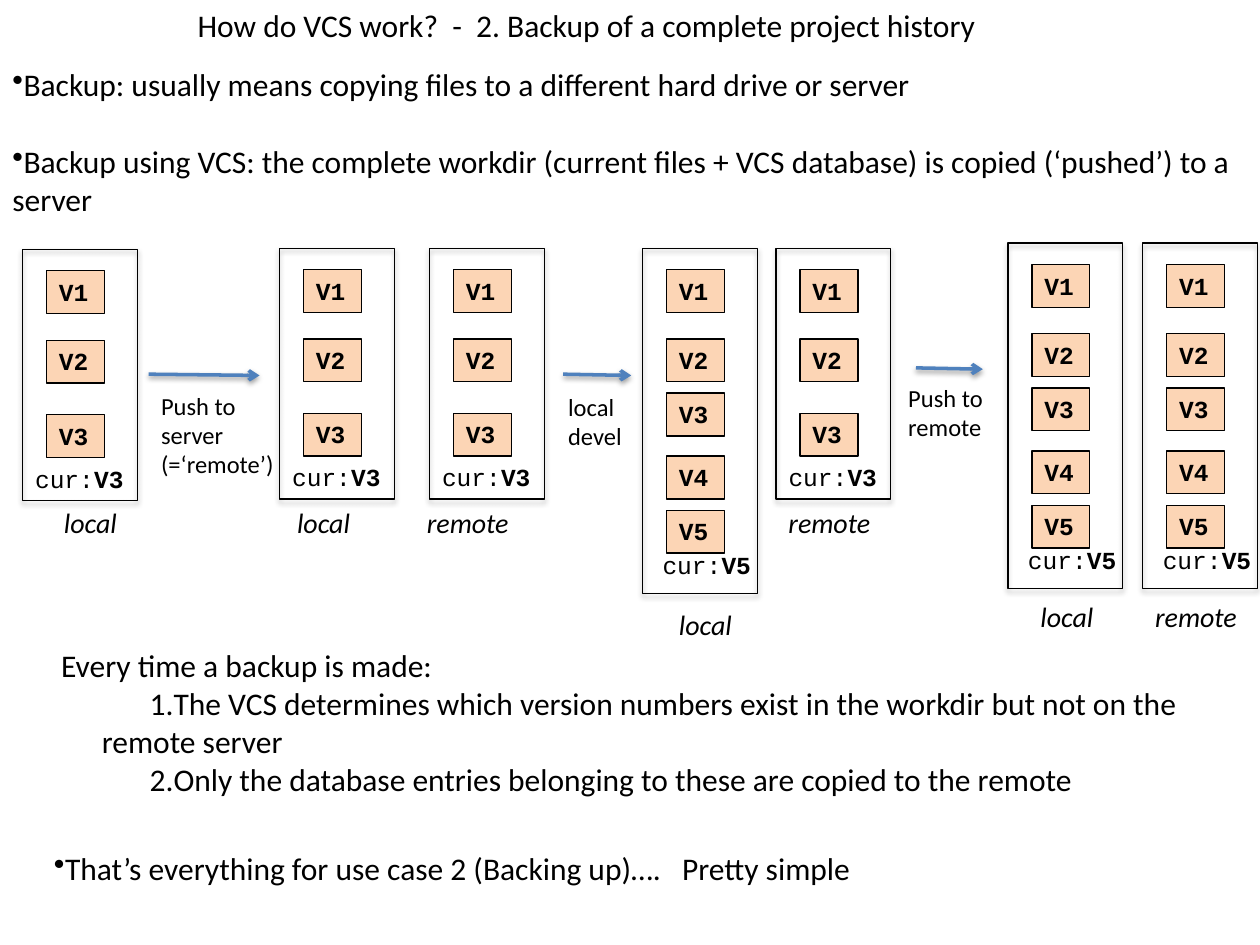
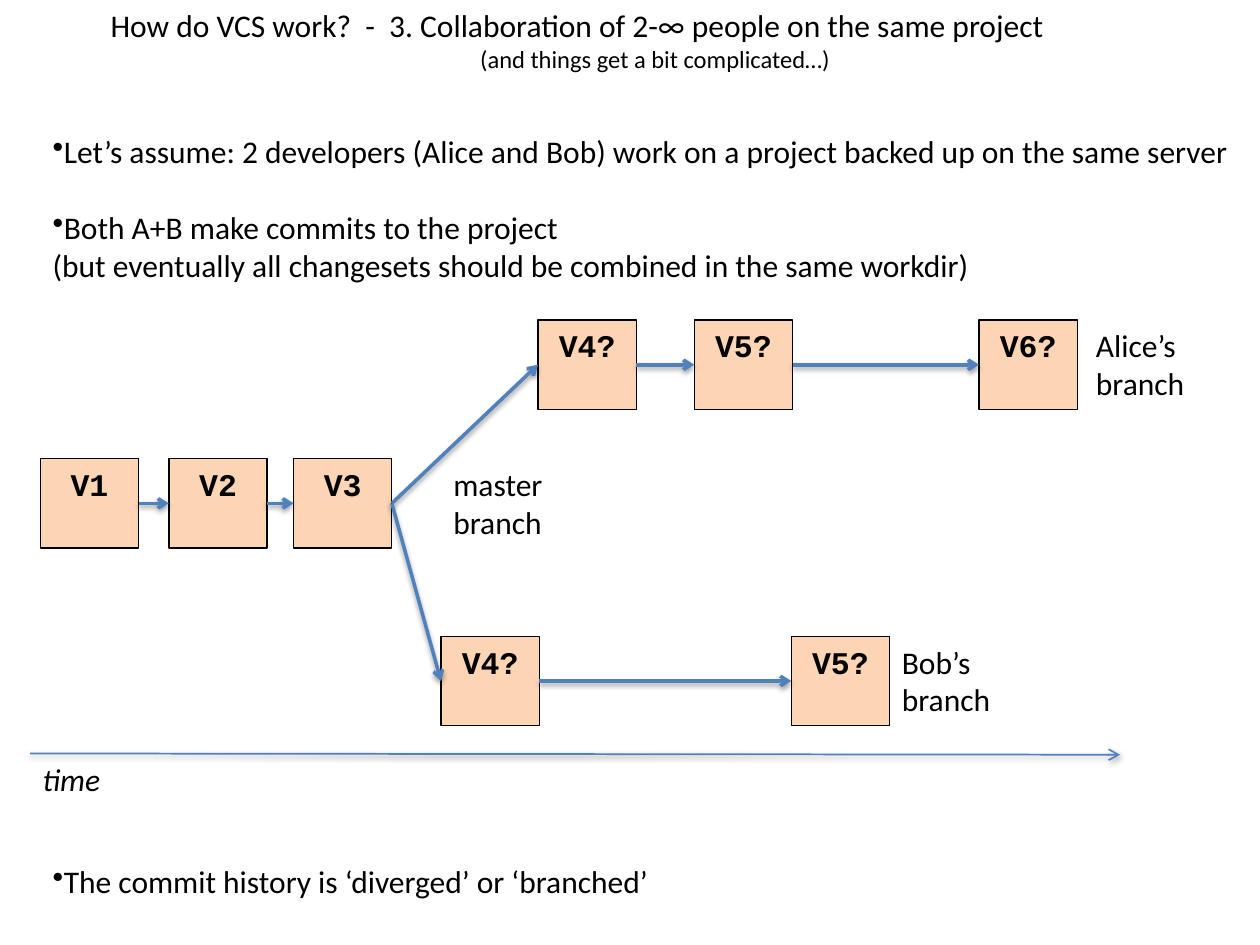
from pptx import Presentation
from pptx.dml.color import RGBColor
from pptx.enum.shapes import MSO_CONNECTOR as Connector, MSO_SHAPE as Shape
from pptx.enum.text import MSO_ANCHOR as Anchor, PP_ALIGN as Align
from pptx.oxml import parse_xml
from pptx.oxml.ns import nsdecls, qn
from pptx.util import Inches, Pt

BLACK = RGBColor(0x00, 0x00, 0x00)
PEACH = RGBColor(0xFC, 0xD5, 0xB5)
BLUE = RGBColor(0x4F, 0x81, 0xBD)
BODY_FONT = "Calibri"
CODE_FONT = "Courier New"
LEFT_SIDE, RIGHT_SIDE = 1, 3
BLANK_LINE = 22

BULLET = '<a:buChar {} char="•"/>'
NUMBER = '<a:buAutoNum {} type="arabicPeriod"/>'

VERSION_TOPS = {3: (0.17, 0.72, 1.31), 5: (0.17, 0.72, 1.15, 1.65, 2.08)}
FRAME_HEIGHTS = {3: 1.99, 5: 2.74}
CURRENT_OFFSETS = {3: (0, 1.65), 5: (0.06, 2.35)}


def add_text(paragraph, text, size=18, font=BODY_FONT, bold=False, italic=False):
    for index, line in enumerate(text.split("\n")):
        if index:
            paragraph.add_line_break()
        run = paragraph.add_run()
        run.text = line
        run.font.name = font
        run.font.size = Pt(size)
        run.font.bold = bold
        run.font.italic = italic
        run.font.color.rgb = BLACK


def add_marker(paragraph, marker, indent=0):
    properties = paragraph._p.get_or_add_pPr()
    properties.set("marL", str(Inches(indent)))
    properties.set("indent", str(Inches(indent)))
    properties.append(parse_xml(marker.format(nsdecls("a"))))


def add_shadow(shape, opacity, distance):
    shape._element.spPr.append(parse_xml(
        f'<a:effectLst {nsdecls("a")}>'
        f'<a:outerShdw blurRad="{Pt(3.1)}" dist="{Pt(distance)}" dir="5400000"'
        f' rotWithShape="0"><a:srgbClr val="000000">'
        f'<a:alpha val="{opacity * 1000}"/></a:srgbClr></a:outerShdw></a:effectLst>'))


def add_text_box(shapes, left, top, width, height):
    frame = shapes.add_textbox(
        Inches(left), Inches(top), Inches(width), Inches(height)).text_frame
    frame.word_wrap = True
    return frame


def add_label(shapes, text, left, top, width, height, **style):
    frame = add_text_box(shapes, left, top, width, height)
    add_text(frame.paragraphs[0], text, **style)
    return frame


def add_bullets(shapes, texts, left, top, width, height):
    frame = add_text_box(shapes, left, top, width, height)
    for index, text in enumerate(texts):
        paragraph = frame.add_paragraph() if index else frame.paragraphs[0]
        if index:
            paragraph.space_before = Pt(BLANK_LINE)
        add_marker(paragraph, BULLET)
        add_text(paragraph, text)
    return frame


def add_rectangle(shapes, left, top, width, height):
    shape = shapes.add_shape(
        Shape.RECTANGLE, Inches(left), Inches(top), Inches(width), Inches(height))
    shape.line.color.rgb = BLACK
    shape.line.width = Pt(0.75)
    return shape


def add_version(shapes, name, left, top, width, height, size, align):
    shape = add_rectangle(shapes, left, top, width, height)
    shape.shadow.inherit = False
    shape.fill.solid()
    shape.fill.fore_color.rgb = PEACH
    shape.text_frame.vertical_anchor = Anchor.TOP
    paragraph = shape.text_frame.paragraphs[0]
    paragraph.alignment = align
    add_text(paragraph, name, size, CODE_FONT, bold=True)
    return shape


def add_workdir(slide, left, top, count):
    shapes = slide.shapes.add_group_shape().shapes
    for number, offset in enumerate(VERSION_TOPS[count], 1):
        add_version(shapes, f"V{number}", left + 0.19, top + offset,
                    0.46, 0.34, 14, Align.LEFT)
    frame = add_rectangle(shapes, left, top, 0.91, FRAME_HEIGHTS[count])
    frame.fill.background()
    add_shadow(frame, 35, 1.8)
    across, down = CURRENT_OFFSETS[count]
    current = add_label(shapes, "cur:", left + across, top + down, 1.69, 0.34,
                        size=14, font=CODE_FONT)
    add_text(current.paragraphs[0], f"V{count}", 14, CODE_FONT, bold=True)


def add_arrow(slide, start=(0, 0), end=(0, 0), width=2):
    arrow = slide.shapes.add_connector(
        Connector.STRAIGHT, *(Inches(value) for value in (*start, *end)))
    arrow.line.color.rgb = BLUE
    arrow.line.width = Pt(width)
    outline = arrow._element.spPr.find(qn("a:ln"))
    outline.append(parse_xml(f'<a:tailEnd {nsdecls("a")} type="arrow"/>'))
    add_shadow(arrow, 38, 1.6)
    return arrow


def connect(slide, source, target):
    arrow = add_arrow(slide)
    arrow.begin_connect(source, RIGHT_SIDE)
    arrow.end_connect(target, LEFT_SIDE)


def add_branch(slide, top, commits):
    return [add_version(slide.shapes, name, left, top, 0.78, 0.71, 18, Align.CENTER)
            for name, left in commits]


def add_slide(presentation, title, left, width):
    slide = presentation.slides.add_slide(presentation.slide_layouts[6])
    heading = add_label(slide.shapes, title, left, 0, width, 0.71)
    return slide, heading


def build_backup_slide(presentation):
    slide, _ = add_slide(
        presentation, "How do VCS work?  -  2. Backup of a complete project history",
        1.47, 6.84)
    shapes = slide.shapes
    add_bullets(shapes, [
        "Backup: usually means copying files to a different hard drive or server",
        "Backup using VCS: the complete workdir (current files + VCS database) "
        "is copied (‘pushed’) to a server"], 0, 0.47, 10, 1.31)

    steps = add_label(shapes, " Every time a backup is made:", 0.33, 5.08, 9.42, 1.31)
    for text in (
            "The VCS determines which version numbers exist in the workdir "
            "but not on the remote server",
            "Only the database entries belonging to these are copied to the remote"):
        paragraph = steps.add_paragraph()
        add_marker(paragraph, NUMBER, 0.38)
        add_text(paragraph, text)
    add_bullets(shapes, [
        "That’s everything for use case 2 (Backing up)….   Pretty simple"],
        0.33, 6.69, 9.64, 0.4)

    for left, top, count, name, name_left, name_top in (
            (0.18, 1.98, 3, "local", 0.41, 3.96),
            (2.22, 1.97, 3, "local", 2.26, 3.96),
            (3.41, 1.97, 3, "remote", 3.29, 3.96),
            (5.1, 1.97, 5, "local", 5.29, 4.77),
            (6.16, 1.97, 3, "remote", 6.16, 3.96),
            (8, 1.93, 5, "local", 8.16, 4.71),
            (9.07, 1.93, 5, "remote", 9.07, 4.71)):
        add_workdir(slide, left, top, count)
        add_label(shapes, name, name_left, name_top,
                  0.77 if name == "local" else 0.93, 0.37, size=16, italic=True)

    for start, end, text, box in (
            ((1.18, 2.97), (2.06, 2.98), "Push to server\n(=‘remote’)",
             (1.18, 3.05, 1.23, 0.81)),
            ((4.47, 2.97), (5.01, 2.98), "local devel", (4.41, 3.06, 0.89, 0.57)),
            ((7.27, 2.92), (7.8, 2.93), "Push to remote", (7.11, 2.99, 0.89, 0.57))):
        add_arrow(slide, start, end)
        add_label(shapes, text, *box, size=14)


def build_collaboration_slide(presentation):
    slide, heading = add_slide(
        presentation,
        "How do VCS work?  -  3. Collaboration of 2-∞ people on the same project",
        0.78, 8.84)
    subtitle = heading.add_paragraph()
    subtitle.alignment = Align.CENTER
    add_text(subtitle, "(and things get a bit complicated…)", 14)

    shapes = slide.shapes
    assumptions = add_bullets(shapes, [
        "Let’s assume: 2 developers (Alice and Bob) work on a project "
        "backed up on the same server",
        "Both A+B make commits to the project"], 0.32, 1, 9.63, 1.31)
    add_text(assumptions.add_paragraph(),
             "(but eventually all changesets should be combined in the same workdir)")
    add_bullets(shapes, ["The commit history is ‘diverged’ or ‘branched’"],
                0.32, 6.79, 8.76, 0.4)

    master = add_branch(slide, 3.64, [("V1", 0.32), ("V2", 1.34), ("V3", 2.33)])
    alice = add_branch(slide, 2.54, [("V4?", 4.27), ("V5?", 5.51), ("V6?", 7.77)])
    bob = add_branch(slide, 5.05, [("V4?", 3.5), ("V5?", 6.28)])
    for chain in (master, [master[-1], *alice], [master[-1], *bob]):
        for source, target in zip(chain, chain[1:]):
            connect(slide, source, target)

    for owner, left, top in (("master", 3.5, 3.64), ("Alice’s", 8.6, 2.54),
                             ("Bob’s", 7.06, 5.05)):
        add_label(shapes, f"{owner}\nbranch", left, top, 1.06, 0.71)

    add_arrow(slide, (0.24, 5.98), (8.89, 5.99), width=1)
    add_label(shapes, "time", 0.24, 5.98, 0.91, 0.4, italic=True)


def main():
    presentation = Presentation()
    presentation.slide_width = Inches(10)
    presentation.slide_height = Inches(7.5)
    build_backup_slide(presentation)
    build_collaboration_slide(presentation)
    presentation.save("out.pptx")


main()
